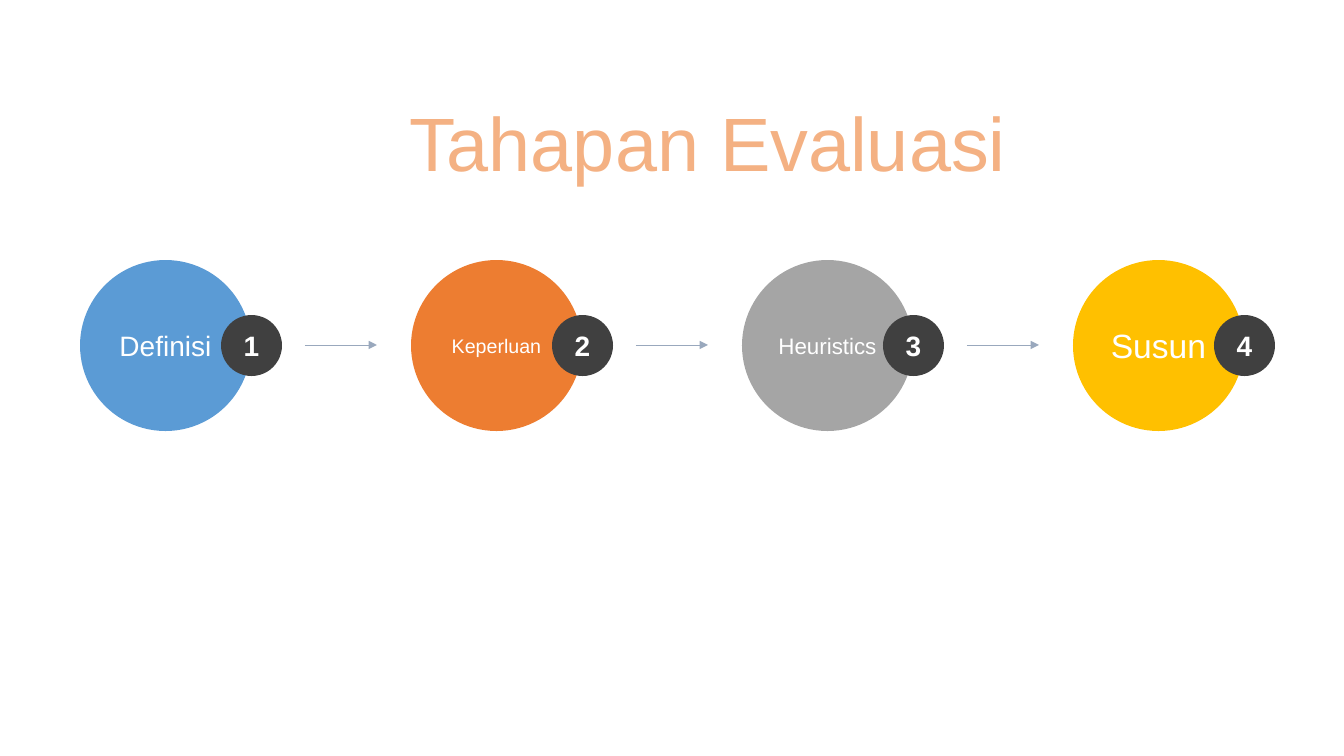
from lxml.etree import SubElement
from pptx import Presentation
from pptx.dml.color import RGBColor
from pptx.enum.shapes import MSO_CONNECTOR, MSO_SHAPE
from pptx.enum.text import MSO_ANCHOR, MSO_AUTO_SIZE, PP_ALIGN
from pptx.oxml.ns import qn
from pptx.util import Pt

SCALE = 914400 / 100.8
WHITE = RGBColor(0xFF, 0xFF, 0xFF)
PEACH = RGBColor(0xF4, 0xB1, 0x83)
CHARCOAL = RGBColor(0x40, 0x40, 0x40)
SLATE = RGBColor(0x99, 0xA8, 0xBD)
BLUE = RGBColor(0x5B, 0x9B, 0xD5)
ORANGE = RGBColor(0xED, 0x7D, 0x31)
GRAY = RGBColor(0xA5, 0xA5, 0xA5)
GOLD = RGBColor(0xFF, 0xC0, 0x00)

STAGES = [
    ("Definisi", 20, BLUE),
    ("Keperluan", 14, ORANGE),
    ("Heuristics", 16, GRAY),
    ("Susun", 24, GOLD),
]
STAGE_PITCH = 331
CIRCLE_SIZE = 171
BADGE_SIZE = 61


def px(length):
    """Turn pixels into EMU."""
    return round(length * SCALE)


def write_text(shape, text, size, color, bold=False):
    """Write one centred line of Arial into a shape."""
    frame = shape.text_frame
    frame.text = text
    frame.vertical_anchor = MSO_ANCHOR.MIDDLE
    paragraph = frame.paragraphs[0]
    paragraph.alignment = PP_ALIGN.CENTER
    font = paragraph.runs[0].font
    font.name = "Arial"
    font.size = Pt(size)
    font.bold = bold
    font.color.rgb = color


def add_title(slide, left, top, width, height):
    """Move the title placeholder into its box and fill it."""
    title = slide.shapes.title
    title.left, title.top = px(left), px(top)
    title.width, title.height = px(width), px(height)
    write_text(title, "Tahapan Evaluasi", 54, PEACH)
    title.text_frame.auto_size = MSO_AUTO_SIZE.NONE


def add_disc(slide, left, top, diameter, fill, text, size, bold=False):
    """Add a filled circle with a label."""
    disc = slide.shapes.add_shape(
        MSO_SHAPE.OVAL, px(left), px(top), px(diameter), px(diameter)
    )
    disc.shadow.inherit = False
    disc.fill.solid()
    disc.fill.fore_color.rgb = fill
    disc.line.fill.background()
    write_text(disc, text, size, WHITE, bold)
    disc.text_frame.word_wrap = False


def add_arrow(slide, left, right, middle):
    """Add a thin horizontal arrow pointing right."""
    arrow = slide.shapes.add_connector(
        MSO_CONNECTOR.STRAIGHT, px(left), px(middle), px(right), px(middle)
    )
    arrow.line.color.rgb = SLATE
    arrow.line.width = Pt(0.5)
    SubElement(arrow.line._get_or_add_ln(), qn("a:tailEnd"), type="triangle")
    SubElement(arrow._element.spPr, qn("a:effectLst"))


def add_stages(slide, left, top):
    """Lay out the numbered stages from left to right, joined by arrows."""
    middle = top + CIRCLE_SIZE // 2
    for number, (name, size, color) in enumerate(STAGES, start=1):
        stage_left = left + (number - 1) * STAGE_PITCH
        badge_left = stage_left + CIRCLE_SIZE - BADGE_SIZE // 2
        badge_top = middle - BADGE_SIZE // 2
        add_disc(slide, stage_left, top, CIRCLE_SIZE, color, name, size)
        add_disc(slide, badge_left, badge_top, BADGE_SIZE, CHARCOAL, str(number), 20, True)
        if number < len(STAGES):
            add_arrow(slide, stage_left + 225, stage_left + 297, middle)


def main():
    """Build and save the presentation."""
    presentation = Presentation()
    presentation.slide_width, presentation.slide_height = px(1344), px(756)
    slide = presentation.slides.add_slide(presentation.slide_layouts[5])
    add_title(slide, 377, 72, 661, 139)
    add_stages(slide, 80, 260)
    presentation.save("out.pptx")


if __name__ == "__main__":
    main()
